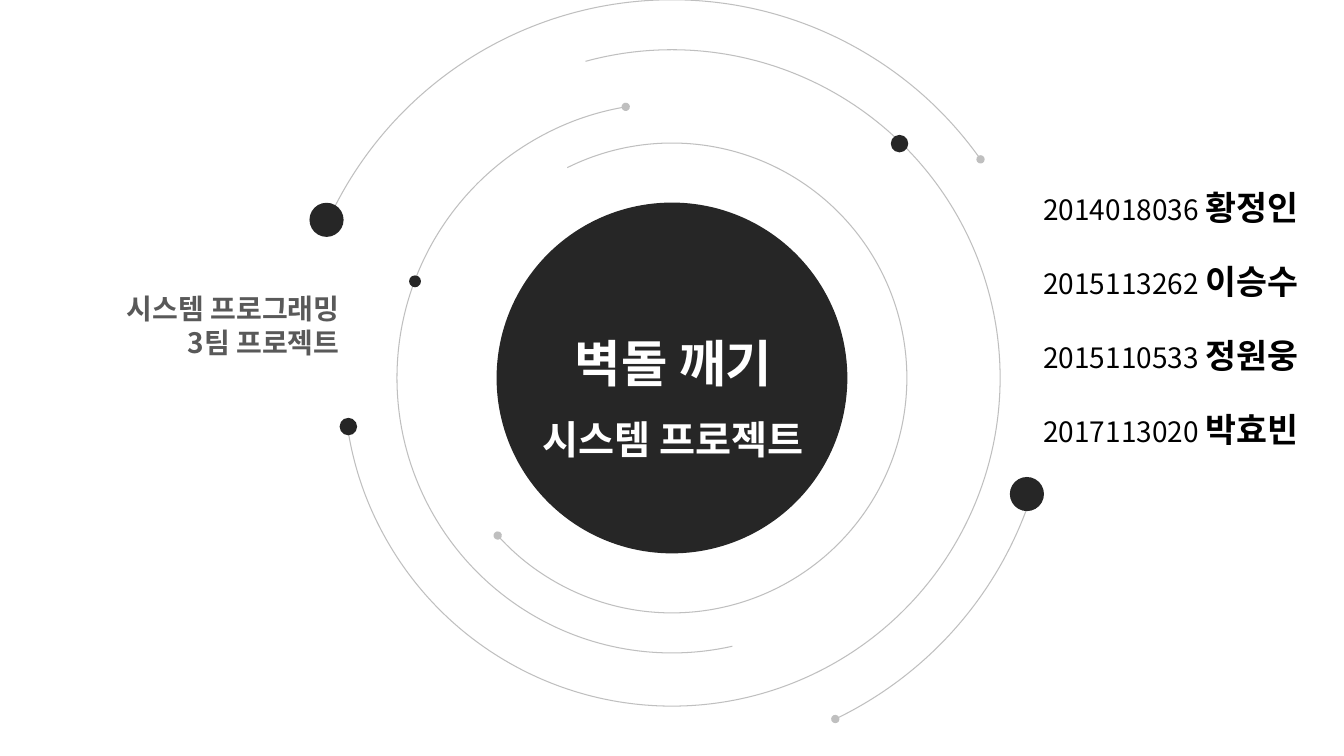
from dataclasses import dataclass

from lxml.etree import SubElement
from pptx import Presentation
from pptx.dml.color import RGBColor
from pptx.enum.shapes import MSO_SHAPE
from pptx.enum.text import MSO_ANCHOR, MSO_AUTO_SIZE, PP_ALIGN
from pptx.oxml.ns import qn
from pptx.util import Cm, Pt


@dataclass(frozen=True)
class Theme:
    font: str = "Noto Sans CJK KR"
    dark: RGBColor = RGBColor(0x26, 0x26, 0x26)
    orbit: RGBColor = RGBColor(0xBF, 0xBF, 0xBF)
    course: RGBColor = RGBColor(0x59, 0x59, 0x59)
    member: RGBColor = RGBColor(0, 0, 0)
    title: RGBColor = RGBColor(0xFF, 0xFF, 0xFF)
    title_size: Pt = Pt(36)
    subtitle_size: Pt = Pt(28)
    name_size: Pt = Pt(24)
    body_size: Pt = Pt(20)
    orbit_width: Pt = Pt(0.75)


THEME = Theme()
WIDTH, HEIGHT = 33.87, 19.05
CENTER_X, CENTER_Y = WIDTH / 2, HEIGHT / 2
CORE_RADIUS = 4.42

ORBITS = [
    (5.92, 243.54, 137.88),
    (6.93, 77.31, 260.32),
    (8.27, 254.74, 171.62),
    (9.53, 18.97, 64.41),
    (9.53, 203.74, 324.69),
]
PLANETS = [
    (25.88, 12.45, 0.43),
    (8.23, 5.54, 0.43),
    (8.78, 10.75, 0.22),
    (10.46, 7.09, 0.15),
    (22.67, 3.62, 0.22),
]
MEMBERS = [
    ("2014018036", "황정인"),
    ("2015113262", "이승수"),
    ("2015110533", "정원웅"),
    ("2017113020", "박효빈"),
]


def add_round(page, kind, x, y, radius):
    shape = page.shapes.add_shape(
        kind, Cm(x - radius), Cm(y - radius), Cm(2 * radius), Cm(2 * radius)
    )
    shape.shadow.inherit = False
    return shape


def add_disc(page, x, y, radius):
    disc = add_round(page, MSO_SHAPE.OVAL, x, y, radius)
    disc.fill.solid()
    disc.fill.fore_color.rgb = THEME.dark
    disc.line.fill.background()


def add_orbit(page, radius, start, end):
    orbit = add_round(page, MSO_SHAPE.ARC, CENTER_X, CENTER_Y, radius)
    for index, degrees in enumerate((start, end)):
        orbit.adjustments[index] = degrees * 0.6
    orbit.fill.background()
    orbit.line.color.rgb = THEME.orbit
    orbit.line.width = THEME.orbit_width
    SubElement(orbit.element.spPr.find(qn("a:ln")), qn("a:tailEnd"), type="oval")


def set_font(font, size, color, bold):
    font.name = THEME.font
    font.size = size
    font.bold = bold
    font.color.rgb = color


def add_span(para, text):
    span = para.add_run()
    span.text = text
    properties = span.font._element if hasattr(span.font, "_element") else span._r.get_or_add_rPr()
    SubElement(properties, qn("a:ea"), typeface=THEME.font)
    return span


def add_lines(frame, lines, align, color, spacing=None):
    for index, (text, size) in enumerate(lines):
        para = frame.add_paragraph() if index else frame.paragraphs[0]
        para.alignment = align
        para.line_spacing = spacing
        set_font(para.font, size, color, True)
        set_font(add_span(para, text).font, size, color, True)


def add_side_box(page, left, top, width, height):
    frame = page.shapes.add_textbox(Cm(left), Cm(top), Cm(width), Cm(height)).text_frame
    frame.word_wrap = True
    frame.vertical_anchor = MSO_ANCHOR.MIDDLE
    frame.margin_left = frame.margin_right = 0
    frame.margin_top = frame.margin_bottom = 0
    return frame


def add_members(page):
    frame = add_side_box(page, 25.88, 4.55, 6.83, 6.91)
    for index, (number, name) in enumerate(MEMBERS):
        para = frame.add_paragraph() if index else frame.paragraphs[0]
        para.alignment = PP_ALIGN.RIGHT
        if index:
            para.space_before = Pt(24)
        set_font(add_span(para, number + " ").font, THEME.body_size, THEME.member, False)
        set_font(add_span(para, name).font, THEME.name_size, THEME.member, True)


def place_title(page):
    title = page.shapes.title
    title.left, title.top, title.width, title.height = Cm(12.55), Cm(7.47), Cm(8.84), Cm(4.14)
    frame = title.text_frame
    frame.word_wrap = True
    frame.auto_size = MSO_AUTO_SIZE.SHAPE_TO_FIT_TEXT
    frame.vertical_anchor = MSO_ANCHOR.TOP
    lines = [("벽돌 깨기", THEME.title_size), ("시스템 프로젝트", THEME.subtitle_size)]
    add_lines(frame, lines, PP_ALIGN.CENTER, THEME.title, 1.5)
    title.element.getparent().append(title.element)


def main():
    deck = Presentation()
    deck.slide_width, deck.slide_height = Cm(WIDTH), Cm(HEIGHT)
    page = deck.slides.add_slide(deck.slide_layouts[5])
    add_disc(page, CENTER_X, CENTER_Y, CORE_RADIUS)
    place_title(page)
    for orbit in ORBITS:
        add_orbit(page, *orbit)
    for planet in PLANETS:
        add_disc(page, *planet)
    course = add_side_box(page, 0.71, 6.58, 7.85, 3.23)
    lines = [("시스템 프로그래밍", THEME.body_size), ("3팀 프로젝트", THEME.body_size)]
    add_lines(course, lines, PP_ALIGN.RIGHT, THEME.course)
    add_members(page)
    deck.save("out.pptx")


main()
